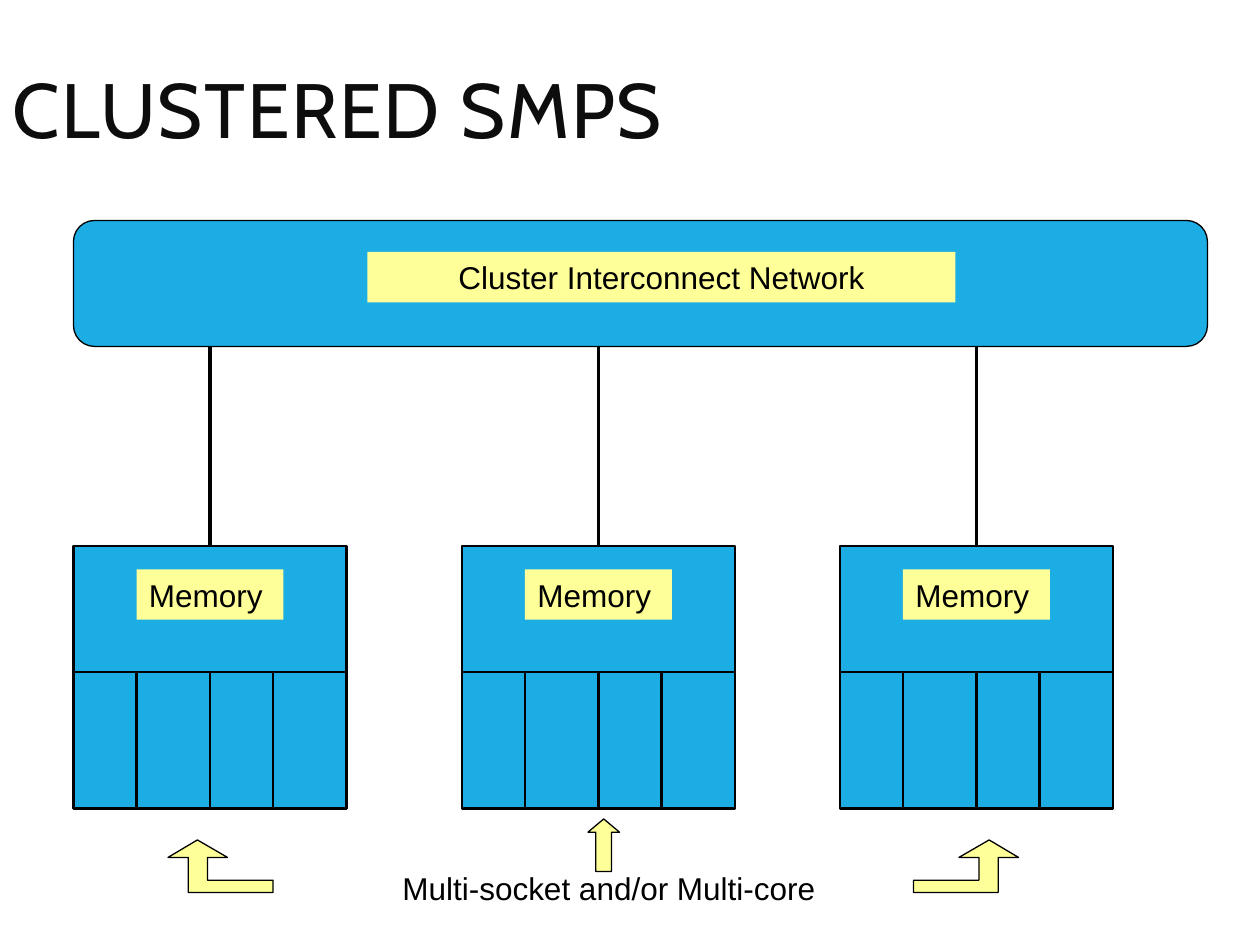
"""Build the slide on clustered SMPs: three nodes on one interconnect network."""
from lxml.etree import SubElement
from pptx import Presentation
from pptx.dml.color import RGBColor
from pptx.enum.shapes import MSO_CONNECTOR, MSO_SHAPE
from pptx.enum.text import MSO_ANCHOR, PP_ALIGN
from pptx.oxml.ns import qn
from pptx.util import Pt

BLUE, YELLOW, BLACK, TITLE_COLOR = "1CADE4", "FFFF99", "000000", "0D0D0D"

TITLE = "CLUSTERED SMPS"
NETWORK_LABEL = "Cluster Interconnect Network"
MEMORY_LABEL = "Memory"
CORE_LABEL = "Multi-socket and/or Multi-core"

NETWORK_TOP, NETWORK_HEIGHT = 126, 72
NODE_LEFTS = [42, 264, 480]
NODE_TOP, NODE_WIDTH, NODE_HEIGHT = 312, 156, 150
MEMORY_HEIGHT = 72
CORE_DIVIDERS = [36, 78, 114]
LABEL_HEIGHT = 28.8

BENT_ARROW = [(43.2, 0), (26, 10), (37.4, 10), (37.4, 23), (0, 23),
              (0, 30), (48.4, 30), (48.4, 10), (60, 10)]
BENT_ARROW_STARTS = [(522, 1), (156, -1)]
BENT_ARROW_TOP = 480


def color(value):
    return RGBColor.from_string(value)


def paint(shape, fill, line_width=0):
    shape.shadow.inherit = False
    shape.fill.solid()
    shape.fill.fore_color.rgb = color(fill)
    if line_width:
        shape.line.color.rgb = color(BLACK)
        shape.line.width = Pt(line_width)
    else:
        shape.line.fill.background()
    return shape


def add_box(page, kind, left, top, width, height, fill, line_width):
    box = page.shapes.add_shape(kind, Pt(left), Pt(top), Pt(width), Pt(height))
    return paint(box, fill, line_width)


def add_text(page, text, left, top, width, height, *, size=18, font="Arial",
             ink=BLACK, fill=None, align=PP_ALIGN.LEFT, anchor=MSO_ANCHOR.TOP,
             line_spacing=1.0, tracking=0):
    box = page.shapes.add_textbox(Pt(left), Pt(top), Pt(width), Pt(height))
    if fill:
        paint(box, fill)
    frame = box.text_frame
    frame.word_wrap = True
    frame.vertical_anchor = anchor
    para = frame.paragraphs[0]
    para.alignment = align
    para.line_spacing = line_spacing
    span = para.add_run()
    span.text = text
    span.font.size = Pt(size)
    span.font.name = font
    span.font.color.rgb = color(ink)
    if tracking:
        span.font._element.set("spc", str(tracking * 100))


def add_line(page, x1, y1, x2, y2, width=1.5):
    line = page.shapes.add_connector(
        MSO_CONNECTOR.STRAIGHT, Pt(x1), Pt(y1), Pt(x2), Pt(y2))
    line.line.color.rgb = color(BLACK)
    line.line.width = Pt(width)
    SubElement(line._element.spPr, qn("a:effectLst"))


def add_node(page, left):
    bottom = NODE_TOP + NODE_HEIGHT
    divider = NODE_TOP + MEMORY_HEIGHT
    center = left + NODE_WIDTH / 2
    add_box(page, MSO_SHAPE.RECTANGLE, left, NODE_TOP, NODE_WIDTH, NODE_HEIGHT, BLUE, 1.5)
    add_line(page, left, divider, left + NODE_WIDTH, divider)
    for offset in CORE_DIVIDERS:
        add_line(page, left + offset, divider, left + offset, bottom)
    add_text(page, MEMORY_LABEL, left + 36, 325.4, 84, LABEL_HEIGHT, fill=YELLOW)
    add_line(page, center, NETWORK_TOP + NETWORK_HEIGHT, center, NODE_TOP, 2.25)


def add_bent_arrow(page, start, direction):
    points = [(Pt(start + direction * x), Pt(BENT_ARROW_TOP + y)) for x, y in BENT_ARROW]
    builder = page.shapes.build_freeform(*points[0])
    builder.add_line_segments(points[1:], close=True)
    paint(builder.convert_to_shape(), YELLOW, 0.75)


def main():
    deck = Presentation()
    deck.slide_width, deck.slide_height = Pt(720), Pt(540)
    page = deck.slides.add_slide(deck.slide_layouts[6])

    add_text(page, TITLE, 0, 21.6, 648, 90, size=44, font="Cabin", ink=TITLE_COLOR,
             anchor=MSO_ANCHOR.MIDDLE, line_spacing=0.8, tracking=1)
    add_box(page, MSO_SHAPE.ROUNDED_RECTANGLE, 42, NETWORK_TOP, 648, NETWORK_HEIGHT, BLUE, 0.75)
    add_text(page, NETWORK_LABEL, 210, 144, 336, LABEL_HEIGHT, fill=YELLOW,
             align=PP_ALIGN.CENTER)
    for left in NODE_LEFTS:
        add_node(page, left)

    add_text(page, CORE_LABEL, 204, 493.2, 288, LABEL_HEIGHT, align=PP_ALIGN.CENTER)
    for start, direction in BENT_ARROW_STARTS:
        add_bent_arrow(page, start, direction)
    arrow = add_box(page, MSO_SHAPE.UP_ARROW, 336, 468, 18, 30, YELLOW, 0.75)
    arrow.adjustments[1] = 0.42
    deck.save("out.pptx")


if __name__ == "__main__":
    main()
